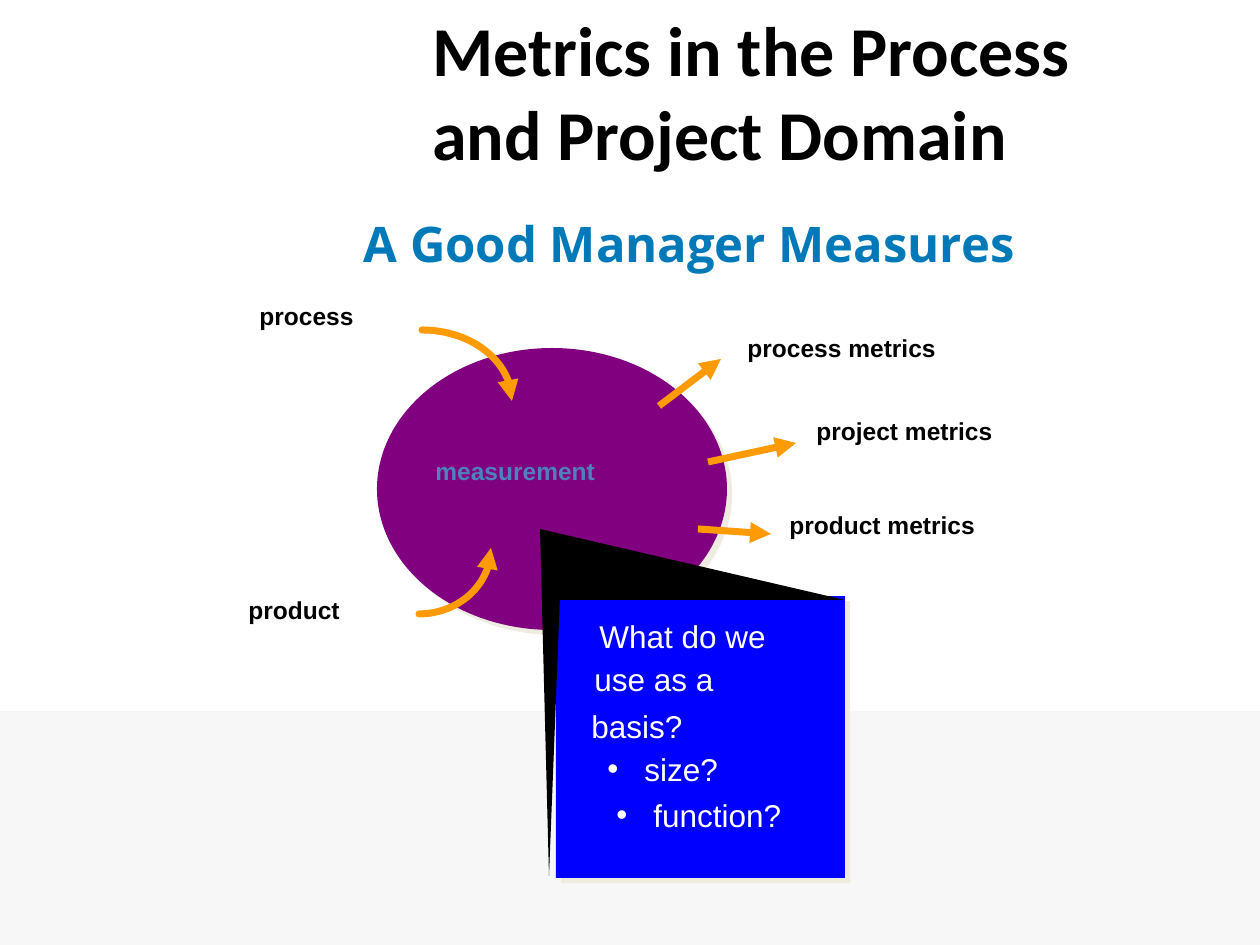
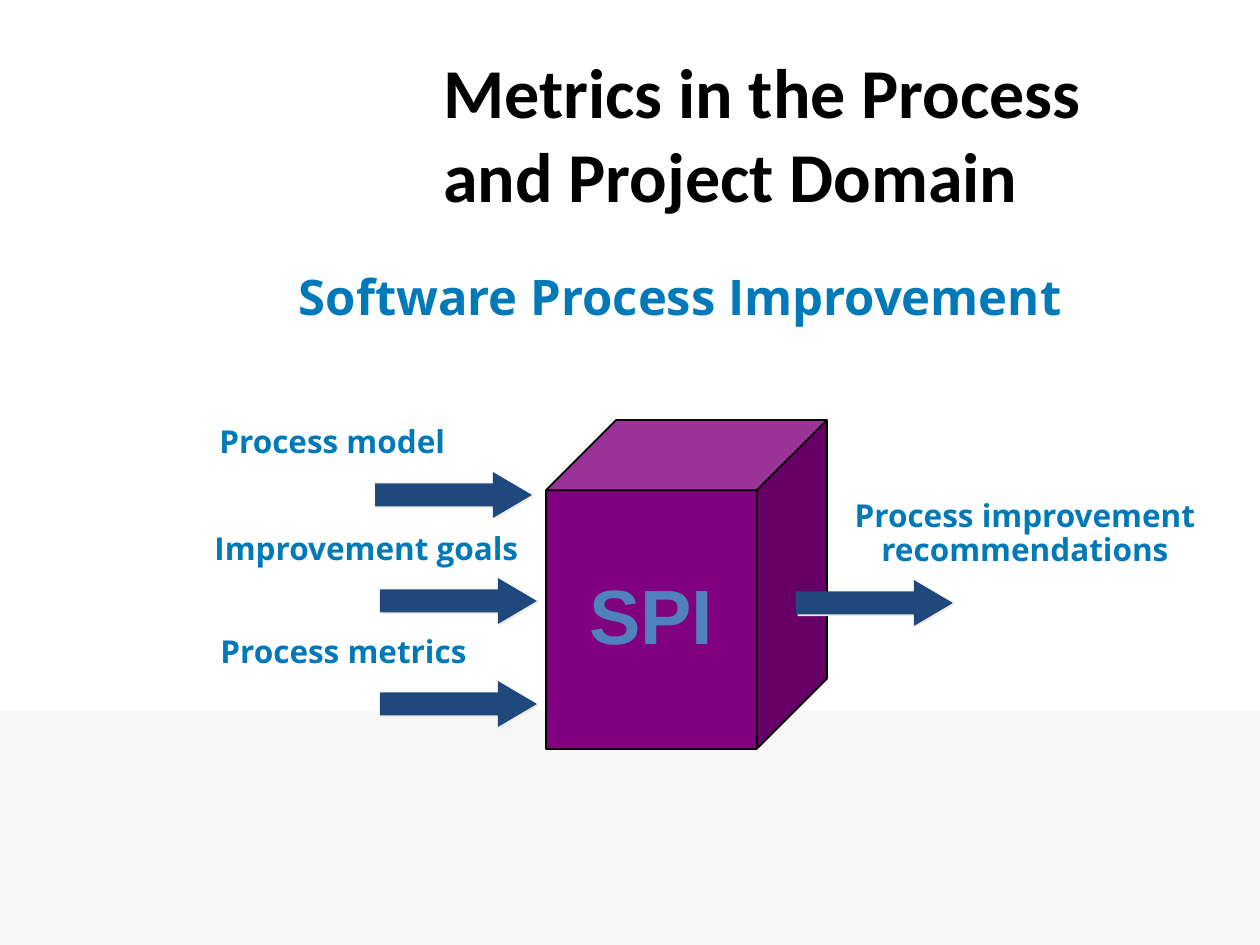
from dataclasses import dataclass
from math import cos, radians, sin
from typing import NamedTuple

from lxml import etree
from pptx import Presentation
from pptx.dml.color import RGBColor
from pptx.enum.shapes import MSO_CONNECTOR, MSO_SHAPE
from pptx.enum.text import MSO_ANCHOR, MSO_AUTO_SIZE, PP_ALIGN
from pptx.oxml.ns import qn
from pptx.shapes.autoshape import Shape
from pptx.slide import Slide
from pptx.text.text import TextFrame
from pptx.util import Emu, Pt

RECT, OVAL = MSO_SHAPE.RECTANGLE, MSO_SHAPE.OVAL
CUBE, ARROW = MSO_SHAPE.CUBE, MSO_SHAPE.RIGHT_ARROW
STRAIGHT = MSO_CONNECTOR.STRAIGHT
LEFT, MID = PP_ALIGN.LEFT, PP_ALIGN.CENTER
CENTER = MSO_ANCHOR.MIDDLE
FIT = MSO_AUTO_SIZE.SHAPE_TO_FIT_TEXT
TITLE_ONLY = 5
SCALE = 914400 / 126  # EMU in one px


class Box(NamedTuple):
    x: int
    y: int
    w: int
    h: int


class Point(NamedTuple):
    x: float
    y: float


class Font(NamedTuple):
    face: str
    size: int
    color: str
    bold: bool = True


@dataclass(frozen=True)
class Theme:
    band: str = "F7F7F7"
    black: str = "000000"
    purple: str = "800080"
    blue: str = "0000FF"
    navy: str = "1F497D"
    orange: str = "FE9B03"
    shade: str = "EEECE1"
    stroke: int = 4
    topic: Font = Font("Calibri", 40, "000000")
    title: Font = Font("Open Sans", 28, "0079B8")
    label: Font = Font("Arial", 14, "000000")
    core: Font = Font("Arial", 14, "4F81BD")
    note: Font = Font("Arial", 18, "FFFFFF", False)
    flow: Font = Font("Open Sans", 18, "0079B8")
    block: Font = Font("Arial", 44, "4F81BD")


THEME = Theme()


@dataclass(frozen=True)
class Label:
    text: str
    box: Box
    font: Font
    align: PP_ALIGN = LEFT
    space: float = 1.0
    bullet: bool = False
    wrap: bool = False


@dataclass(frozen=True)
class Curve:
    center: Point
    radii: Point
    start: int
    end: int


# Helpers
def px(n: float) -> Emu:
    return Emu(round(n * SCALE))


def rgb(color: str) -> RGBColor:
    return RGBColor.from_string(color)


def place(shape: Shape, box: Box) -> None:
    shape.left, shape.top, shape.width, shape.height = map(px, box)


def write(frame: TextFrame, text: str, font: Font, align: PP_ALIGN = LEFT,
          space: float = 1.0, bullet: bool = False) -> None:
    frame.text = text
    for para in frame.paragraphs:
        if bullet:
            props = para._p.get_or_add_pPr()
            props.set("marL", str(px(55)))
            props.set("indent", str(-px(37)))
            etree.SubElement(props, qn("a:buFont"), typeface=font.face)
            etree.SubElement(props, qn("a:buChar"), char="•")
        para.alignment = align
        para.line_spacing = space
        para.font.name = font.face
        para.font.size = Pt(font.size)
        para.font.bold = font.bold
        para.font.color.rgb = rgb(font.color)


def add_label(slide: Slide, label: Label) -> None:
    frame = slide.shapes.add_textbox(*map(px, label.box)).text_frame
    frame.word_wrap = label.wrap
    frame.auto_size = FIT
    write(frame, label.text, label.font, label.align, label.space, label.bullet)


def paint(shape: Shape, color: str, drop: float = 0) -> None:
    """Fill without outline; drop is the shadow distance in points."""
    shape.fill.solid()
    shape.fill.fore_color.rgb = rgb(color)
    shape.line.fill.background()
    shape.shadow.inherit = False
    if drop:
        fx = shape.element.spPr.find(qn("a:effectLst"))
        cast = etree.SubElement(fx, qn("a:outerShdw"), blurRad="0",
                                dist=str(Pt(drop)), dir="2700000",
                                algn="ctr", rotWithShape="0")
        etree.SubElement(cast, qn("a:srgbClr"), val=THEME.shade)


def add_form(slide: Slide, kind: MSO_SHAPE, box: Box, color: str,
             drop: float = 0) -> Shape:
    shape = slide.shapes.add_shape(kind, *map(px, box))
    paint(shape, color, drop)
    return shape


def add_path(slide: Slide, points: list[Point], close: bool) -> Shape:
    spots = [(px(x), px(y)) for x, y in points]
    pen = slide.shapes.build_freeform(*spots[0])
    pen.add_line_segments(spots[1:], close=close)
    return pen.convert_to_shape()


def point_end(shape) -> None:
    """Style a connector or open path as an orange arrow."""
    shape.line.color.rgb = rgb(THEME.orange)
    shape.line.width = Pt(THEME.stroke)
    line = shape.element.spPr.find(qn("a:ln"))
    etree.SubElement(line, qn("a:tailEnd"), type="triangle")


def add_curve(slide: Slide, curve: Curve, steps: int = 30) -> None:
    turn = (curve.end - curve.start) / steps
    angles = [radians(curve.start + turn * i) for i in range(steps + 1)]
    shape = add_path(slide, [Point(curve.center.x + curve.radii.x * cos(a),
                                   curve.center.y + curve.radii.y * sin(a))
                             for a in angles], False)
    shape.fill.background()
    shape.shadow.inherit = False
    point_end(shape)
    shape.element.spPr.find(qn("a:ln")).set("cap", "rnd")


def add_line(slide: Slide, start: Point, end: Point) -> None:
    line = slide.shapes.add_connector(STRAIGHT, *map(px, start + end))
    point_end(line)
    etree.SubElement(line.element.spPr, qn("a:effectLst"))


def add_slide(prs: Presentation, title: str, box: Box, topic: Point) -> Slide:
    slide = prs.slides.add_slide(prs.slide_layouts[TITLE_ONLY])
    place(slide.shapes.title, box)
    frame = slide.shapes.title.text_frame
    frame.vertical_anchor = CENTER
    write(frame, title, THEME.title, MID)
    add_label(slide, Label("Metrics in the Process\vand Project Domain",
                           Box(*topic, 766, 181), THEME.topic, wrap=True))
    return slide


def add_band(prs: Presentation, slide: Slide) -> None:
    """Draw the lower band and move it behind everything on the master."""
    band = add_form(slide, RECT, Box(0, 711, 1260, 234), THEME.band)
    prs.slide_master.shapes.element.insert(2, band.element)


# Slide 1: what a manager measures
LABELS = [
    Label("process", Box(247, 295, 130, 42), THEME.label),
    Label("product", Box(236, 589, 130, 42), THEME.label),
    Label("process metrics", Box(735, 327, 230, 42), THEME.label),
    Label("project metrics", Box(804, 410, 230, 42), THEME.label),
    Label("product metrics", Box(777, 504, 230, 42), THEME.label),
    Label("measurement", Box(423, 450, 200, 42), THEME.core),
    Label("What do we", Box(587, 611, 210, 50), THEME.note),
    Label("use as a", Box(582, 654, 160, 50), THEME.note),
    Label("basis?", Box(579, 701, 130, 50), THEME.note),
    Label("size?", Box(577, 744, 170, 50), THEME.note, bullet=True),
    Label("function?", Box(586, 790, 225, 50), THEME.note, bullet=True),
]
INPUTS = [
    Curve(Point(422, 401), Point(90, 71), -90, 0),
    Curve(Point(419, 548), Point(72, 66), 90, 0),
]
OUTPUTS = [
    (Point(659, 406), Point(721, 359)),
    (Point(708, 462), Point(796, 443)),
    (Point(698, 529), Point(771, 534)),
]
TIP = Point(540, 529)
WEDGES = [
    [TIP, Point(845, 600), Point(560, 600)],
    [TIP, Point(549, 876), Point(560, 596)],
]


def draw_measures(prs: Presentation) -> None:
    slide = add_slide(prs, "A Good Manager Measures",
                      Box(118, 210, 1142, 66), Point(420, 0))
    add_band(prs, slide)
    add_form(slide, OVAL, Box(377, 348, 350, 282), THEME.purple, 4.2)
    add_form(slide, RECT, Box(556, 596, 289, 282), THEME.blue, 4.2)
    for label in LABELS:
        add_label(slide, label)
    for curve in INPUTS:
        add_curve(slide, curve)
    for start, end in OUTPUTS:
        add_line(slide, start, end)
    for wedge in WEDGES:
        paint(add_path(slide, wedge, True), THEME.black)


# Slide 2: inputs and output of process improvement
FLOWS = [
    Label("Process model", Box(207, 420, 265, 46), THEME.flow, space=0.9),
    Label("Improvement goals", Box(202, 527, 345, 46), THEME.flow, space=0.9),
    Label("Process metrics", Box(208, 630, 285, 46), THEME.flow, space=0.9),
    Label("Process improvement\nrecommendations", Box(835, 494, 380, 81),
          THEME.flow, MID, 0.9),
]
ARROWS = [Point(375, 472), Point(380, 578), Point(380, 681), Point(796, 580)]


def draw_spi(prs: Presentation) -> None:
    slide = add_slide(prs, "Software Process Improvement",
                      Box(155, 252, 1050, 87), Point(431, 42))
    cube = add_form(slide, CUBE, Box(546, 420, 281, 329), THEME.purple)
    cube.line.color.rgb = rgb(THEME.black)
    cube.line.width = Pt(1)
    cube.text_frame.word_wrap = False
    cube.text_frame.vertical_anchor = CENTER
    write(cube.text_frame, "SPI", THEME.block, MID, 0.9)
    for spot in ARROWS:
        arrow = add_form(slide, ARROW, Box(*spot, 157, 46), THEME.navy, 1.4)
        arrow.adjustments[1] = 0.85
    for label in FLOWS:
        add_label(slide, label)


def main() -> None:
    prs = Presentation()
    prs.slide_width, prs.slide_height = px(1260), px(945)
    draw_measures(prs)
    draw_spi(prs)
    prs.save("out.pptx")


if __name__ == "__main__":
    main()
